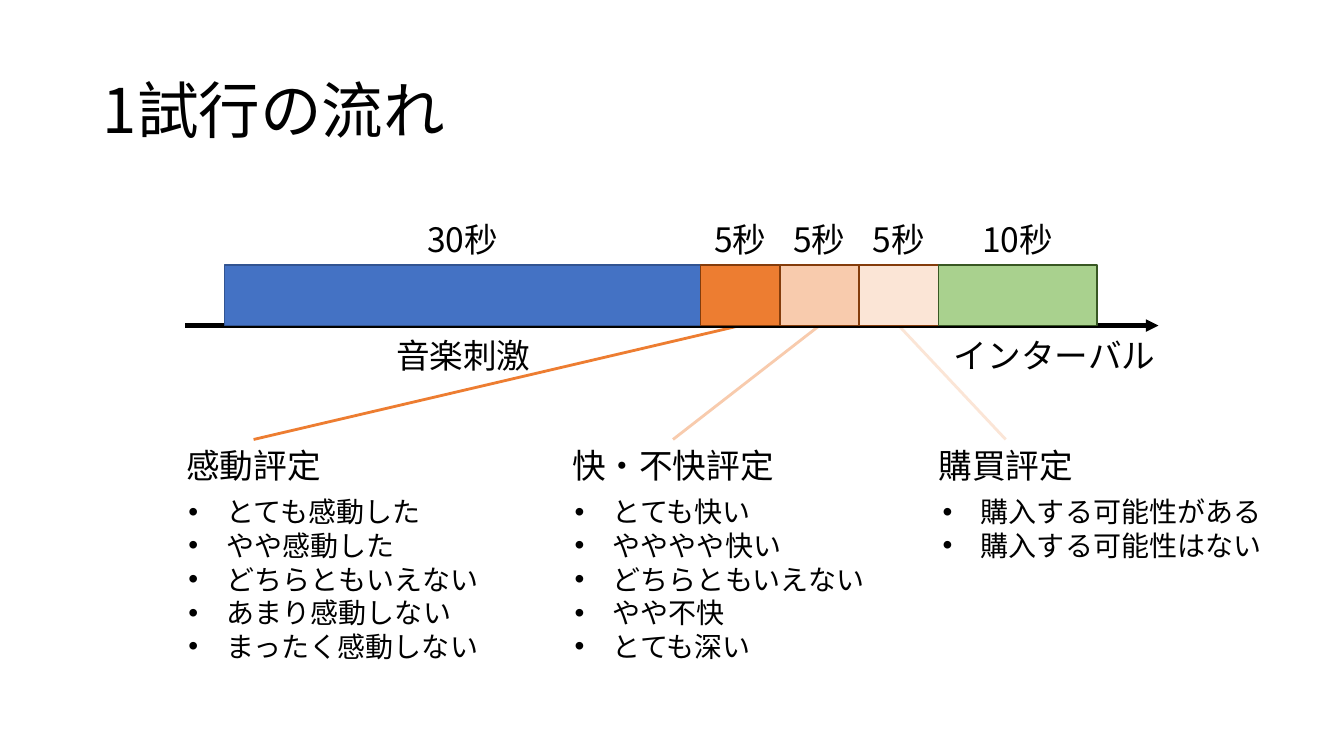
import dataclasses
import typing

import lxml.etree
import pptx
import pptx.dml.color
import pptx.enum.shapes
import pptx.enum.text
import pptx.oxml.ns
import pptx.util

Inches = pptx.util.Inches
Pt = pptx.util.Pt
qn = pptx.oxml.ns.qn

FONT = "Noto Sans CJK JP"
BAR_LEFT, BAR_TOP, BAR_WIDTH, BAR_HEIGHT = 2.23, 2.63, 8.65, 0.6
AXIS_Y = BAR_TOP + BAR_HEIGHT
RATING_TOP, LIST_TOP = 4.36, 4.86
LABEL_HEIGHT = 0.5


@dataclasses.dataclass
class Phase:
    seconds: int
    fill: str
    line: str


@dataclasses.dataclass
class Rating:
    title: str
    left: float
    width: float
    list_left: float
    list_height: float
    phase: int
    choices: list[str]


PHASES = [
    Phase(30, "4472C4", "325491"),
    Phase(5, "ED7D31", "843C0B"),
    Phase(5, "F8CBAD", "843C0B"),
    Phase(5, "FBE5D6", "843C0B"),
    Phase(10, "A9D18E", "385723"),
]

RATINGS = [
    Rating("感動評定", 1.54, 1.95, 1.77, 1.78, 1,
           ["とても感動した", "やや感動した", "どちらともいえない", "あまり感動しない", "まったく感動しない"]),
    Rating("快・不快評定", 5.49, 2.37, 5.6, 1.78, 2,
           ["とても快い", "やややや快い", "どちらともいえない", "やや不快", "とても深い"]),
    Rating("購買評定", 9, 1.95, 9.25, 0.77, 3,
           ["購入する可能性がある", "購入する可能性はない"]),
]


def rgb(value: str) -> pptx.dml.color.RGBColor:
    return pptx.dml.color.RGBColor.from_string(value)


def add_run(p: typing.Any, text: str, size: float) -> None:
    r = p.add_run()
    r.text = text
    r.font.size = Pt(size)
    r.font.name = FONT
    r.font.color.rgb = rgb("000000")
    ea = lxml.etree.SubElement(r._r.get_or_add_rPr(), qn("a:ea"))
    ea.set("typeface", FONT)


def add_bullet(p: typing.Any) -> None:
    pPr = p._p.get_or_add_pPr()
    pPr.set("marL", str(Inches(0.38)))
    pPr.set("indent", str(-Inches(0.38)))
    lxml.etree.SubElement(pPr, qn("a:buFont")).set("typeface", "Arial")
    lxml.etree.SubElement(pPr, qn("a:buChar")).set("char", "•")


def add_text(s: typing.Any, left: float, top: float, width: float, height: float,
             lines: list[str], size: float, bullets: bool = False) -> typing.Any:
    sp = s.shapes.add_textbox(Inches(left), Inches(top), Inches(width), Inches(height))
    tf = sp.text_frame
    tf.word_wrap = True
    tf.auto_size = pptx.enum.text.MSO_AUTO_SIZE.SHAPE_TO_FIT_TEXT
    for i, line in enumerate(lines):
        p = tf.add_paragraph() if i else tf.paragraphs[0]
        p.line_spacing = Pt(size * 1.2)
        if bullets:
            add_bullet(p)
        else:
            p.alignment = pptx.enum.text.PP_ALIGN.CENTER
        add_run(p, line, size)
    return sp


def add_line(s: typing.Any, x1: float, y1: float, x2: float, y2: float,
             color: str, width: float, arrow: bool = False) -> typing.Any:
    sp = s.shapes.add_connector(pptx.enum.shapes.MSO_CONNECTOR.STRAIGHT,
                                Inches(x1), Inches(y1), Inches(x2), Inches(y2))
    sp.line.color.rgb = rgb(color)
    sp.line.width = Pt(width)
    if arrow:
        tail = lxml.etree.SubElement(sp.line._get_or_add_ln(), qn("a:tailEnd"))
        tail.set("type", "triangle")
    lxml.etree.SubElement(sp._element.spPr, qn("a:effectLst"))
    return sp


def add_phase(s: typing.Any, phase: Phase, left: float, width: float) -> typing.Any:
    sp = s.shapes.add_shape(pptx.enum.shapes.MSO_SHAPE.RECTANGLE, Inches(left),
                            Inches(BAR_TOP), Inches(width), Inches(BAR_HEIGHT))
    sp.shadow.inherit = False
    sp.fill.solid()
    sp.fill.fore_color.rgb = rgb(phase.fill)
    sp.line.color.rgb = rgb(phase.line)
    sp.line.width = Pt(1)
    return sp


def add_title(s: typing.Any, text: str) -> None:
    sp = s.shapes.title
    sp.left, sp.top, sp.width, sp.height = (Inches(v) for v in (0.92, 0.4, 11.5, 1.45))
    tf = sp.text_frame
    tf.vertical_anchor = pptx.enum.text.MSO_ANCHOR.MIDDLE
    p = tf.paragraphs[0]
    p.alignment = pptx.enum.text.PP_ALIGN.LEFT
    p.line_spacing = 0.9
    add_run(p, text, 44)


def main() -> None:
    prs = pptx.Presentation()
    prs.slide_width, prs.slide_height = Inches(13.33), Inches(7.5)
    s = prs.slides.add_slide(prs.slide_layouts[5])
    add_title(s, "1試行の流れ")

    leaders = [add_line(s, rating.left + rating.width / 2, RATING_TOP, BAR_LEFT, AXIS_Y,
                        PHASES[rating.phase].fill, 2) for rating in RATINGS]
    add_line(s, 1.84, AXIS_Y, 11.49, AXIS_Y, "000000", 3, arrow=True)

    scale = BAR_WIDTH / sum(phase.seconds for phase in PHASES)
    left = BAR_LEFT
    bars = []
    for phase in PHASES:
        width = phase.seconds * scale
        bars.append(add_phase(s, phase, left, width))
        add_text(s, left + width / 2 - 1.13 / 2, 2.12, 1.13, LABEL_HEIGHT,
                 [f"{phase.seconds}秒"], 24)
        left += width

    add_text(s, 3.62, 3.27, 1.95, LABEL_HEIGHT, ["音楽刺激"], 24)
    add_text(s, 9.25, 3.27, 2.42, LABEL_HEIGHT, ["インターバル"], 24)

    for rating, leader in zip(RATINGS, leaders):
        heading = add_text(s, rating.left, RATING_TOP, rating.width, LABEL_HEIGHT,
                           [rating.title], 24)
        leader.begin_connect(heading, 0)
        leader.end_connect(bars[rating.phase], 2)
        add_text(s, rating.list_left, LIST_TOP, 3.38, rating.list_height,
                 rating.choices, 20, bullets=True)

    prs.save("out.pptx")


if __name__ == "__main__":
    main()
